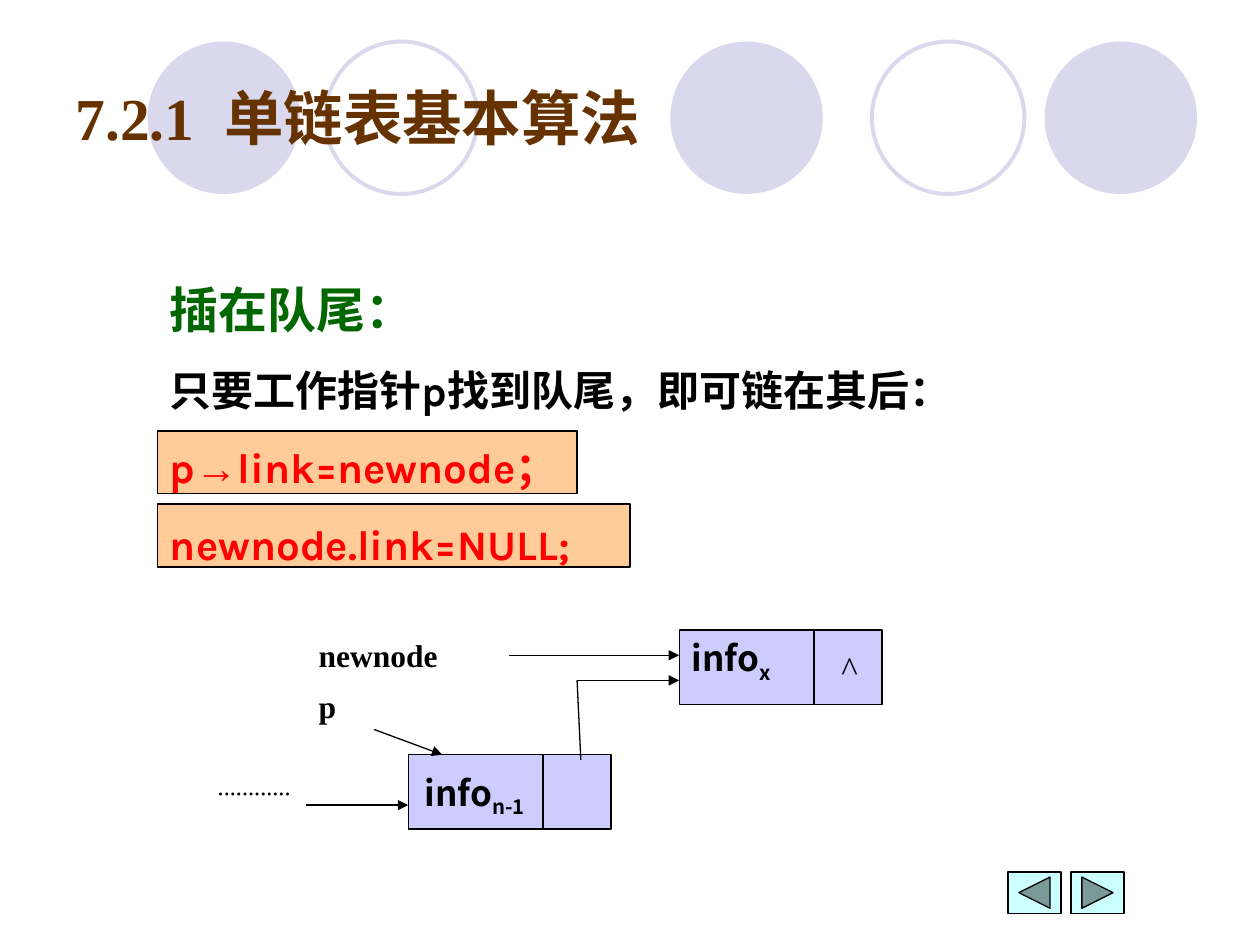
from lxml import etree
from pptx import Presentation
from pptx.dml.color import RGBColor
from pptx.enum import shapes, text
from pptx.oxml.ns import qn
from pptx.util import Inches, Pt

LILAC = RGBColor(0xD9, 0xD8, 0xEC)
PEACH = RGBColor(0xFF, 0xCC, 0x99)
NODE_BLUE = RGBColor(0xCC, 0xCC, 0xFF)
BUTTON_CYAN = RGBColor(0xCC, 0xFF, 0xFF)
BROWN = RGBColor(0x66, 0x33, 0x00)
GREEN = RGBColor(0x00, 0x66, 0x00)
RED = RGBColor(0xFF, 0x00, 0x00)
BLACK = RGBColor(0x00, 0x00, 0x00)
SERIF, CODE, CJK = "Times New Roman", "Karla", "Noto Sans CJK SC"
SUBSCRIPT = "-25000"


def write(paragraph, content, size=18, font=SERIF, color=BLACK, bold=True,
          baseline=None, align=text.PP_ALIGN.LEFT, before=0):
    paragraph.alignment = align
    paragraph.space_before = Pt(before)
    run = paragraph.add_run()
    run.text = content
    run.font.size = Pt(size)
    run.font.name = font
    run.font.bold = bold
    run.font.color.rgb = color
    properties = run._r.get_or_add_rPr()
    etree.SubElement(properties, qn("a:ea")).set("typeface", CJK)
    if baseline:
        properties.set("baseline", baseline)


def add_shape(kind, left, top, width, height, fill=None, line=BLACK, weight=0.75):
    shape = slide.shapes.add_shape(kind, Inches(left), Inches(top), Inches(width), Inches(height))
    shape.shadow.inherit = False
    if fill is None:
        shape.fill.background()
    else:
        shape.fill.solid()
        shape.fill.fore_color.rgb = fill
    if line is None:
        shape.line.fill.background()
    else:
        shape.line.color.rgb = line
        shape.line.width = Pt(weight)
    return shape


presentation = Presentation()
presentation.slide_width = Inches(10)
presentation.slide_height = Inches(7.5)
slide = presentation.slides.add_slide(presentation.slide_layouts[5])
RECTANGLE = shapes.MSO_SHAPE.RECTANGLE

for left, filled in [(5.32, True), (8.29, True), (1.17, True), (6.92, False), (2.58, False)]:
    add_shape(shapes.MSO_SHAPE.OVAL, left, 0.33, 1.21, 1.21,
              fill=LILAC if filled else None, line=None if filled else LILAC, weight=2.25)

for top, width in [(4, 3.75), (3.42, 3.33)]:
    add_shape(RECTANGLE, 1.25, top, width, 0.5, fill=PEACH)

title = slide.shapes.title
slide.shapes._spTree.append(title._element)
title.left, title.top, title.width, title.height = Inches(0.5), Inches(0.3), Inches(9), Inches(1.25)
title.text_frame.auto_size = text.MSO_AUTO_SIZE.NONE
title.text_frame.vertical_anchor = text.MSO_ANCHOR.MIDDLE
write(title.text_frame.paragraphs[0], "7.2.1  单链表基本算法", size=34, color=BROWN)

last_node = add_shape(RECTANGLE, 3.24, 5.99, 1.61, 0.59, fill=NODE_BLUE)
new_node = add_shape(RECTANGLE, 5.39, 5, 1.61, 0.59, fill=NODE_BLUE)
new_node.text_frame.vertical_anchor = text.MSO_ANCHOR.TOP
for content, baseline in [("info", None), ("x", SUBSCRIPT)]:
    write(new_node.text_frame.paragraphs[0], content, size=20, font=CJK, baseline=baseline)

for x1, y1, x2, y2, arrow in [
    (4.31, 5.99, 4.31, 6.58, False),
    (6.46, 5, 6.46, 5.59, False),
    (2.43, 6.39, 3.24, 6.39, True),
    (4.58, 5.4, 5.39, 5.4, True),
    (4.04, 5.2, 5.39, 5.2, True),
    (2.97, 5.79, 3.51, 5.99, True),
    (4.61, 6.03, 4.58, 5.4, False),
]:
    connector = slide.shapes.add_connector(
        shapes.MSO_CONNECTOR.STRAIGHT, Inches(x1), Inches(y1), Inches(x2), Inches(y2))
    connector.line.color.rgb = BLACK
    connector.line.width = Pt(0.75)
    if arrow:
        etree.SubElement(connector.line._get_or_add_ln(), qn("a:tailEnd")).set("type", "triangle")
    etree.SubElement(connector._element.spPr, qn("a:effectLst"))

JUSTIFY = text.PP_ALIGN.JUSTIFY
for box, paragraphs in [
    ((2.43, 5, 1.88, 0.59), [[("newnode", {})]]),
    ((1.63, 5.99, 1.07, 0.59), [[("············", {"baseline": SUBSCRIPT})]]),
    ((2.43, 5.4, 0.81, 0.59), [[("p", {})]]),
    ((6.58, 5.08, 0.83, 0.44), [[("^", {"size": 20, "bold": False})]]),
    ((3.27, 6.07, 1.65, 0.48), [[("info", {"size": 20, "font": CJK}),
                                 ("n-1", {"size": 20, "font": CJK, "baseline": SUBSCRIPT})]]),
    ((1.25, 2.17, 7.75, 2.39), [
        [("插在队尾：", {"size": 28, "color": GREEN, "align": JUSTIFY})],
        [("只要工作指针", {}), ("p", {"font": CODE}), ("找到队尾，即可链在其后：", {})],
        [("p", {"font": CODE, "color": RED}), ("→", {"color": RED}),
         ("link=newnode", {"font": CODE, "color": RED}), ("；", {"color": RED})],
        [("newnode.link=NULL;", {"font": CODE, "color": RED})],
    ]),
]:
    frame = slide.shapes.add_textbox(*[Inches(length) for length in box]).text_frame
    frame.word_wrap = True
    for index, runs in enumerate(paragraphs):
        paragraph = frame.add_paragraph() if index else frame.paragraphs[0]
        later = {"size": 24, "before": 15, "align": JUSTIFY} if index else {}
        for content, style in runs:
            write(paragraph, content, **{**later, **style})

for left, kind in [(8, shapes.MSO_SHAPE.ACTION_BUTTON_BACK_OR_PREVIOUS),
                   (8.5, shapes.MSO_SHAPE.ACTION_BUTTON_FORWARD_OR_NEXT)]:
    add_shape(kind, left, 6.92, 0.42, 0.33, fill=BUTTON_CYAN)

presentation.save("out.pptx")
